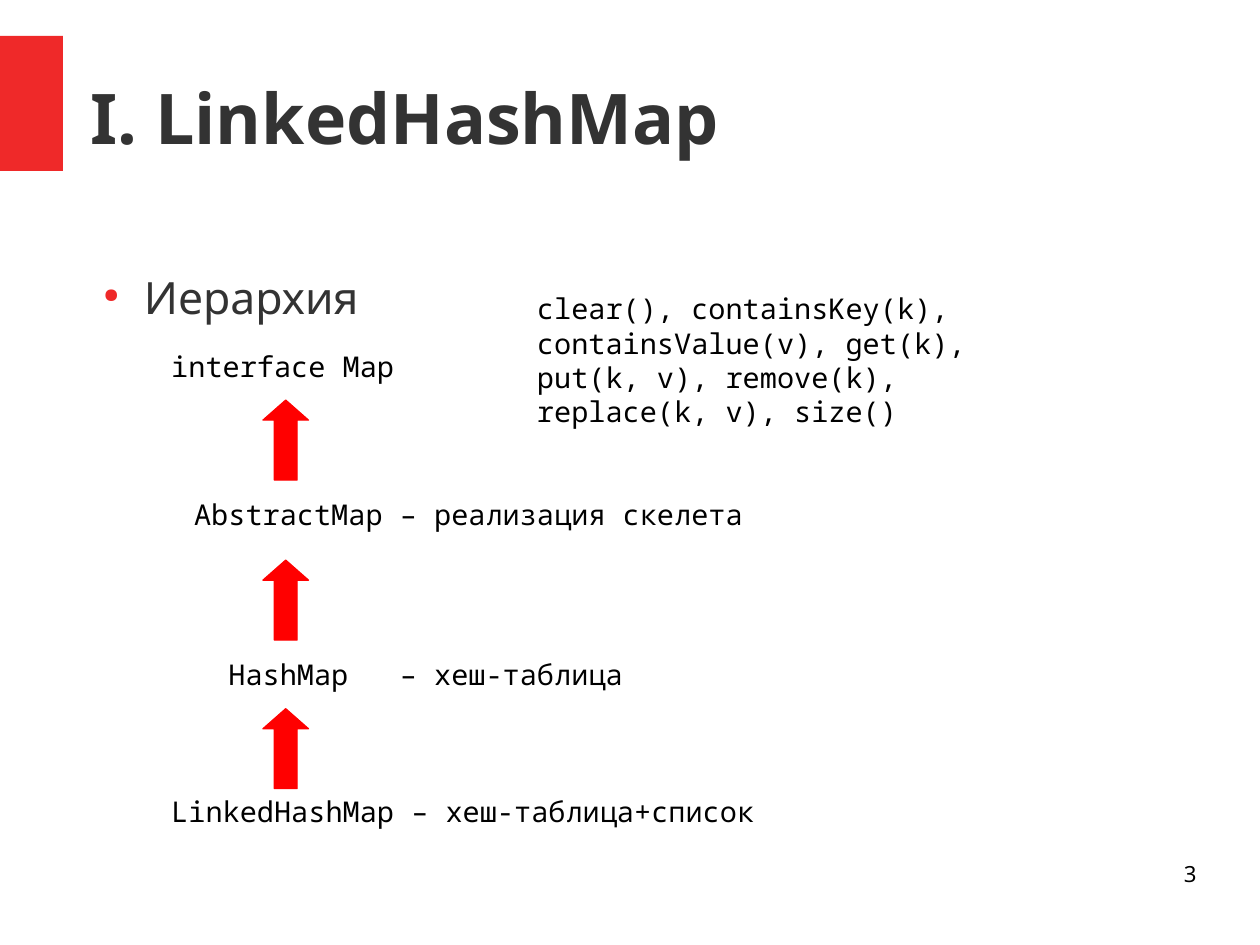
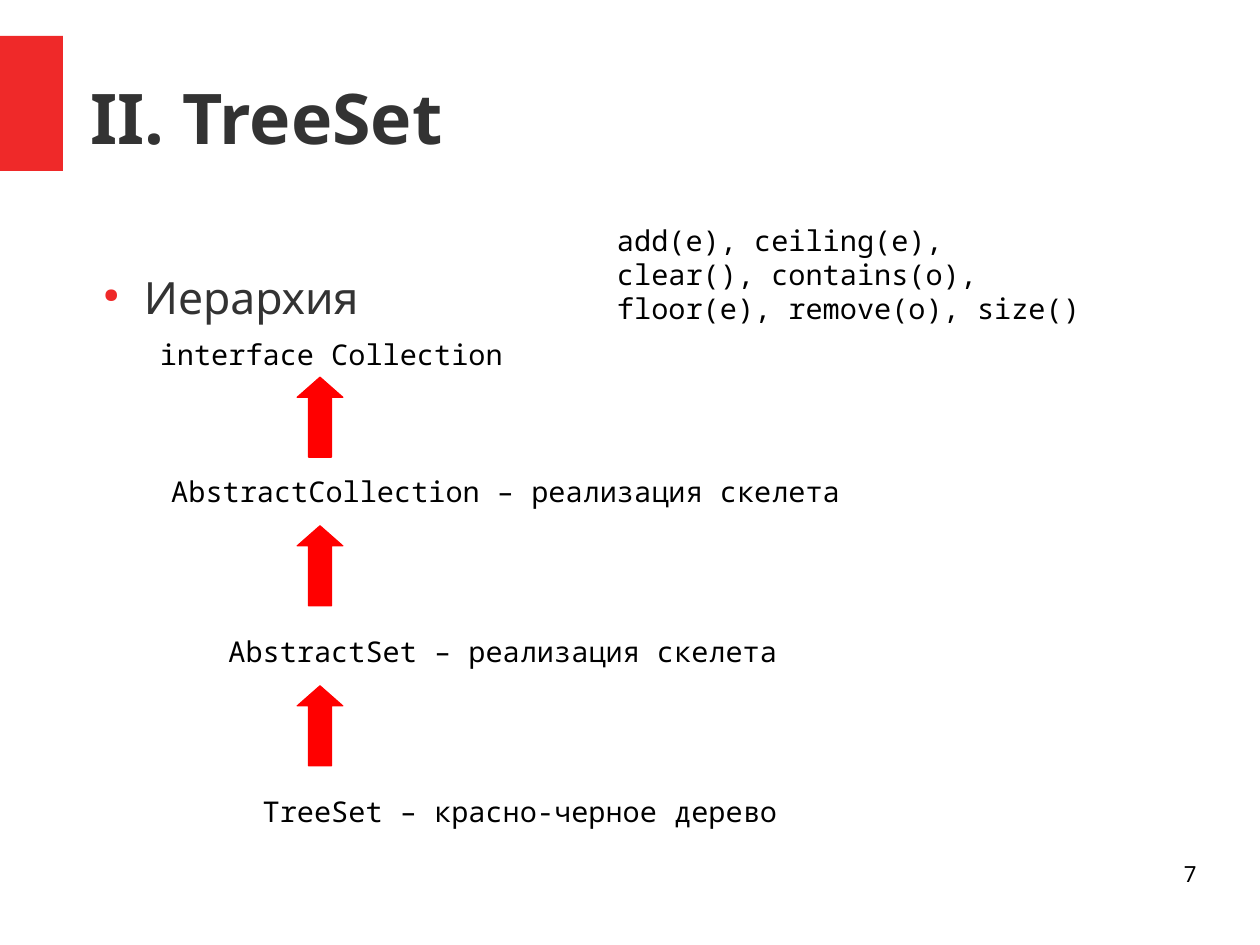
import dataclasses

import lxml.etree
import pptx
import pptx.dml.color
import pptx.enum.shapes
import pptx.enum.text
import pptx.oxml.ns
import pptx.util

Pt = pptx.util.Pt
ALIGN = pptx.enum.text.PP_ALIGN
ANCHOR = pptx.enum.text.MSO_ANCHOR
AUTO_SIZE = pptx.enum.text.MSO_AUTO_SIZE
SHAPE = pptx.enum.shapes.MSO_SHAPE


@dataclasses.dataclass(frozen=True)
class TextStyle:
    size: float
    color: str
    font: str = "Noto Sans"
    bold: bool = False


@dataclasses.dataclass(frozen=True)
class Theme:
    accent: str = "EF2929"
    arrow: str = "FF0000"
    title: TextStyle = TextStyle(44, "333333", bold=True)
    bullet: TextStyle = TextStyle(28, "333333")
    code: TextStyle = TextStyle(18, "000000", "Noto Sans Mono")
    number: TextStyle = TextStyle(14, "000000")


THEME = Theme()
PAGE_SIZE = (793.7, 595.25)
ACCENT_BOX = (0, 22.6, 39.6, 85)
TITLE_BOX = (56.7, 23.8, 697, 99.4)
BULLET_BOX = (56.7, 170, 680.4, 345.6)
NUMBER_BOX = (568.8, 542.2, 185, 41)
ARROW_SIZE = (28.8, 50.4)
CODE_INSETS = (7.2, 3.6)
CODE_CHARACTER = 10.8


@dataclasses.dataclass(frozen=True)
class HierarchyPage:
    """Labels and the method list are (text, left, top, width, height)."""
    number: int
    title: str
    labels: tuple
    methods: tuple
    arrow_left: float
    arrow_tops: tuple


PAGES = (
    HierarchyPage(
        3, "I. LinkedHashMap",
        labels=(
            ("interface Map", 100.8, 216, 237.6, 28.8),
            ("AbstractMap – реализация скелета", 115.2, 309.6, 547.2, 28.8),
            ("HashMap\t– хеш-таблица", 136.8, 410.4, 360, 28.8),
            ("LinkedHashMap – хеш-таблица+список", 100.8, 496.8, 446.4, 28.8),
        ),
        methods=("clear(), containsKey(k), containsValue(v), get(k), "
                 "put(k, v), remove(k), replace(k, v), size()",
                 331.2, 180, 331.2, 187.2),
        arrow_left=165.6, arrow_tops=(252, 352.8, 446.4)),
    HierarchyPage(
        7, "II. TreeSet",
        labels=(
            ("interface Collection", 93.6, 208.8, 388.8, 28.8),
            ("AbstractCollection – реализация скелета",
             100.8, 295.2, 446.4, 36),
            ("AbstractSet – реализация скелета", 136.8, 396, 367.2, 28.8),
            ("TreeSet – красно-черное дерево", 158.4, 496.8, 352.8, 36),
        ),
        methods=("add(e), ceiling(e), clear(), contains(o), floor(e), "
                 "remove(o), size()", 381.6, 136.8, 309.6, 72),
        arrow_left=187.2, arrow_tops=(237.6, 331.2, 432)),
)


def points(values):
    return [Pt(value) for value in values]


def rgb(color):
    return pptx.dml.color.RGBColor.from_string(color)


def write_text(shape, text, style, insets=(0, 0), align=ALIGN.LEFT,
               anchor=ANCHOR.TOP, auto_size=AUTO_SIZE.NONE):
    """Fill a shape with one formatted paragraph and return it."""
    frame = shape.text_frame
    frame.text = text
    frame.word_wrap = True
    frame.auto_size = auto_size
    frame.vertical_anchor = anchor
    frame.margin_left = frame.margin_right = Pt(insets[0])
    frame.margin_top = frame.margin_bottom = Pt(insets[1])
    para = frame.paragraphs[0]
    para.alignment = align
    for span in para.runs:
        span.font.name = style.font
        span.font.size = Pt(style.size)
        span.font.bold = style.bold
        span.font.color.rgb = rgb(style.color)
    return para


def add_text(page, box, text, style, **options):
    return write_text(page.shapes.add_textbox(*points(box)), text, style,
                      **options)


def add_solid(page, kind, box, color):
    shape = page.shapes.add_shape(kind, *points(box))
    shape.shadow.inherit = False
    shape.fill.solid()
    shape.fill.fore_color.rgb = rgb(color)
    shape.line.fill.background()
    return shape


def add_arrow(page, left, top):
    arrow = add_solid(page, SHAPE.UP_ARROW, (left, top, *ARROW_SIZE),
                      THEME.arrow)
    arrow.adjustments[0] = 0.5
    arrow.adjustments[1] = 0.44
    arrow.line.color.rgb = rgb(THEME.arrow)
    arrow.line.width = Pt(0)


def add_property(parent, tag, **attributes):
    return lxml.etree.SubElement(parent, pptx.oxml.ns.qn(tag), attributes)


def add_bullet(page, text):
    para = add_text(page, BULLET_BOX, text, THEME.bullet)
    para.space_after = Pt(14.1)
    properties = para._p.get_or_add_pPr()
    properties.set("marL", str(Pt(34)))
    properties.set("indent", str(Pt(-25.5)))
    bullet_color = add_property(properties, "a:buClr")
    add_property(bullet_color, "a:srgbClr", val=THEME.accent)
    add_property(properties, "a:buSzPct", val="45000")
    add_property(properties, "a:buChar", char="●")


def add_code(page, text, *box):
    """Add monospaced text; a tab goes to the tenth character column."""
    para = add_text(page, box, text, THEME.code, insets=CODE_INSETS,
                    auto_size=AUTO_SIZE.SHAPE_TO_FIT_TEXT)
    if "\t" in text:
        tabs = add_property(para._p.get_or_add_pPr(), "a:tabLst")
        add_property(tabs, "a:tab", pos=str(Pt(10 * CODE_CHARACTER)),
                     algn="l")


def add_title(page, text):
    title = page.shapes.title
    title.left, title.top, title.width, title.height = points(TITLE_BOX)
    write_text(title, text, THEME.title, anchor=ANCHOR.MIDDLE,
               auto_size=AUTO_SIZE.SHAPE_TO_FIT_TEXT)


def add_hierarchy_page(deck, content):
    page = deck.slides.add_slide(deck.slide_layouts.get_by_name("Title Only"))
    add_solid(page, SHAPE.RECTANGLE, ACCENT_BOX, THEME.accent)
    add_title(page, content.title)
    add_bullet(page, "Иерархия")
    for label in content.labels:
        add_code(page, *label)
    add_code(page, *content.methods)
    for top in content.arrow_tops:
        add_arrow(page, content.arrow_left, top)
    add_text(page, NUMBER_BOX, str(content.number), THEME.number,
             align=ALIGN.RIGHT)


def main():
    deck = pptx.Presentation()
    deck.slide_width, deck.slide_height = points(PAGE_SIZE)
    for content in PAGES:
        add_hierarchy_page(deck, content)
    deck.save("out.pptx")


if __name__ == "__main__":
    main()
